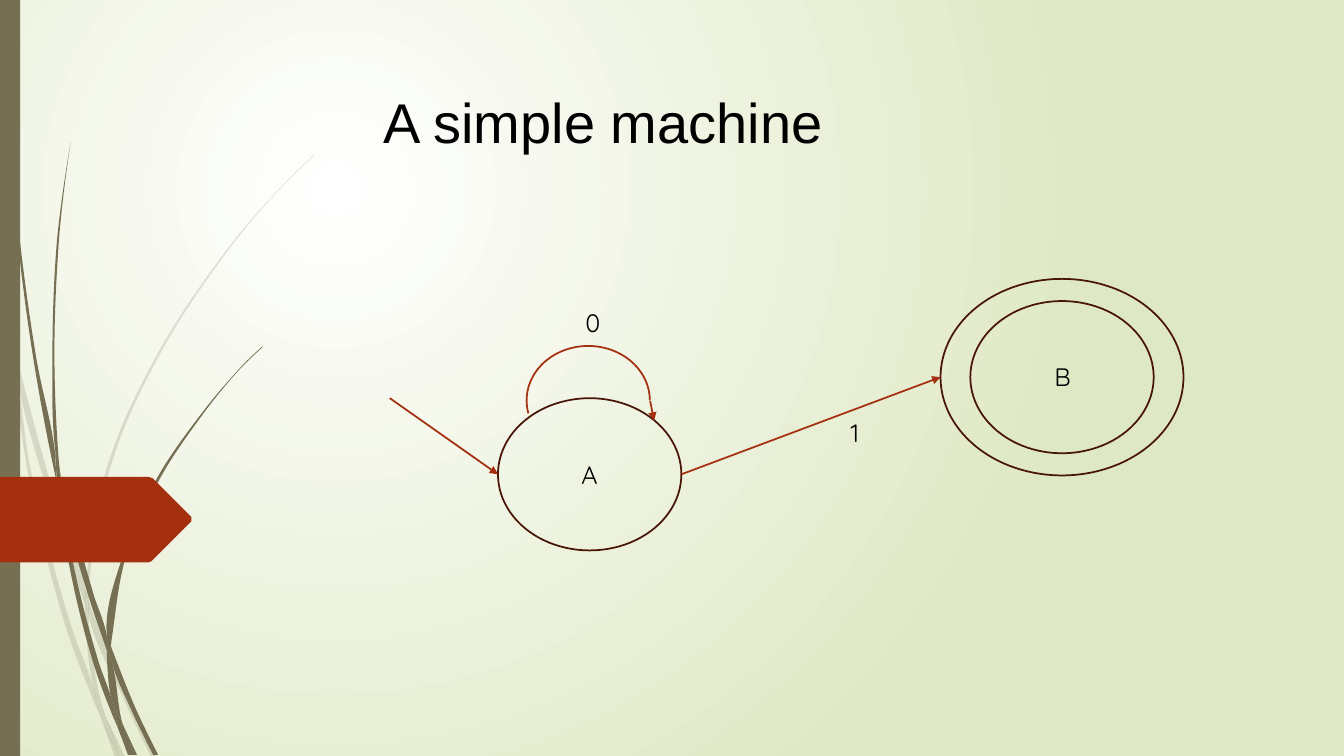
from math import hypot

from lxml.etree import SubElement
from pptx import Presentation
from pptx.dml.color import RGBColor
from pptx.enum.shapes import MSO_CONNECTOR as Connector, MSO_SHAPE as Preset
from pptx.oxml.ns import qn
from pptx.util import Pt

OLIVE, RUST, MAROON, BLACK = "766F54", "A53010", "481507", "000000"
STATE_SIZE = (131, 108.7)
RING_SIZE = (173.5, 140.4)
CENTER_A = (421.2, 338.8)
CENTER_B = (758.6, 269.4)

GRID = 0.72
TAG = "147 558 150 557 151 556 190 517 190 513 151 474 150 474 147 473 0 473 0 558"
PALE_BLADES = [
    "11 350 9 322 0 282 0 299 10 344",
    "58 522 84 599 85 586 62 520 14 345 17 376",
    "92 607 88 596 88 610 123 694 150 751 155 751 127 692",
    "119 751 124 751 105 711",
    "93 683 70 619 31 469 17 376 11 350 28 470 65 621 92 693 101 714 99 707",
    "84 599 87 646 93 683 96 692 105 711 103 706 91 646 88 610 88 608",
    "88 584 110 462 160 349 229 245 268 198 290 175 312 154 312 153 289 175 268 197 "
    "228 244 158 348 107 461 85 584 85 586 88 596",
    "101 714 114 751 119 751",
    "88 608 88 610 88 596 85 586 84 599",
    "96 692 93 683 99 707 101 714 119 751 105 711",
]
DARK_BLADES = [
    "7 110 17 233 33 355 56 477 57 481 55 457 55 453 36 355 19 232 8 109 5 48 4 0 3 0 4 48",
    "88 592 106 645 106 633 106 631 93 590 60 472 64 505",
    "113 649 110 641 111 656 132 708 152 749 157 749 136 706",
    "110 691 98 657 72 556 64 505 57 477 68 557 93 659 111 708 117 722 116 717",
    "60 472 58 453 54 349 58 245 63 193 70 141 62 193 56 245 52 349 55 449",
    "133 749 136 749 122 719",
    "57 477 64 505 60 472 55 449 55 453",
    "111 633 125 552 158 476 205 406 231 374 245 359 261 344 260 344 245 358 231 373 "
    "204 405 156 474 122 551 106 631 110 641",
    "117 722 127 749 131 749",
    "106 645 110 691 116 706 122 719 121 716 111 656 109 651",
    "106 645 109 651 111 656 110 641 106 631 106 633",
    "116 706 110 691 116 717 117 722 130 749 133 749 122 719",
]


def color(code):
    return RGBColor.from_string(code)


def paint_background(page):
    fill = page.background.fill
    fill.gradient()
    for stop, code in zip(fill.gradient_stops, ("FFFFFF", "DFE8C4")):
        stop.color.rgb = color(code)
    gradient = page.element.find(".//" + qn("a:gradFill"))
    gradient.remove(gradient.find(qn("a:lin")))
    circle = SubElement(gradient, qn("a:path"), path="circle")
    SubElement(circle, qn("a:fillToRect"), l="50000", t="50000", r="100000", b="100000")


def fill_solid(shape, code, opacity=100):
    shape.shadow.inherit = False
    shape.line.fill.background()
    shape.fill.solid()
    shape.fill.fore_color.rgb = color(code)
    if opacity < 100:
        tone = shape.element.spPr.find(".//" + qn("a:srgbClr"))
        SubElement(tone, qn("a:alpha"), val=str(opacity * 1000))


def direction(start, end):
    dx, dy = end[0] - start[0], end[1] - start[1]
    length = hypot(dx, dy) or 1
    return dx / length, dy / length


def tangent(before, point, after):
    (ax, ay), (bx, by) = direction(before, point), direction(point, after)
    if ax * bx + ay * by < 0.8:
        return 0, 0
    return direction((0, 0), (ax + bx, ay + by))


def bend(shape):
    edges = list(shape.element.iter(qn("a:lnTo")))
    knots = [(int(spot.get("x")), int(spot.get("y"))) for spot in shape.element.iter(qn("a:pt"))]
    closed = knots[:-1] if knots[0] == knots[-1] else knots
    count = len(closed)
    slopes = [tangent(closed[i - 1], closed[i], closed[(i + 1) % count]) for i in range(count)]
    for i, edge in enumerate(edges):
        j = (i + 1) % count
        start, end = closed[i], closed[j]
        reach = hypot(end[0] - start[0], end[1] - start[1]) / 3
        first = [p + s * reach for p, s in zip(start, slopes[i])]
        second = [p - s * reach for p, s in zip(end, slopes[j])]
        curve = SubElement(edge.getparent(), qn("a:cubicBezTo"))
        for x, y in (first, second, end):
            SubElement(curve, qn("a:pt"), x=str(round(x)), y=str(round(y)))
        edge.getparent().replace(edge, curve)


def add_outline(page, outline, code, opacity=100):
    numbers = [Pt(GRID * int(number)) for number in outline.split()]
    points = list(zip(numbers[::2], numbers[1::2]))
    builder = page.shapes.build_freeform(*points[0], scale=1.0)
    builder.add_line_segments(points[1:] + points[:1], close=True)
    shape = builder.convert_to_shape()
    fill_solid(shape, code, opacity)
    return shape


def add_ring(page, preset, center, size, code):
    (x, y), (width, height) = center, size
    shape = page.shapes.add_shape(
        preset, Pt(x - width / 2), Pt(y - height / 2), Pt(width), Pt(height))
    shape.shadow.inherit = False
    shape.fill.background()
    shape.line.color.rgb = color(code)
    shape.line.width = Pt(1.25)
    return shape


def add_arrow(page, start, end):
    arrow = page.shapes.add_connector(Connector.STRAIGHT, *map(Pt, start + end))
    arrow.line.color.rgb = color(RUST)
    arrow.line.width = Pt(1.25)
    line = arrow._element.spPr.find(qn("a:ln"))
    SubElement(line, qn("a:tailEnd"), type="triangle")
    SubElement(arrow._element.spPr, qn("a:effectLst"))


def add_text(page, text, left, top, width, height, size, font, wrap=False):
    box = page.shapes.add_textbox(Pt(left), Pt(top), Pt(width), Pt(height))
    box.text_frame.word_wrap = wrap
    span = box.text_frame.paragraphs[0].add_run()
    span.text = text
    span.font.size = Pt(size)
    span.font.name = font
    span.font.color.rgb = color(BLACK)


def main():
    deck = Presentation()
    deck.slide_width, deck.slide_height = Pt(960), Pt(540)
    page = deck.slides.add_slide(deck.slide_layouts[6])
    paint_background(page)

    for blades, opacity in ((PALE_BLADES, 20), (DARK_BLADES, 100)):
        for blade in blades:
            bend(add_outline(page, blade, OLIVE, opacity))
    band = page.shapes.add_shape(Preset.RECTANGLE, 0, 0, Pt(14.4), Pt(540))
    fill_solid(band, OLIVE)
    add_outline(page, TAG, RUST)

    for center, size in ((CENTER_B, STATE_SIZE), (CENTER_B, RING_SIZE), (CENTER_A, STATE_SIZE)):
        add_ring(page, Preset.OVAL, center, size, MAROON)

    entry = (CENTER_A[0] - STATE_SIZE[0] / 2, CENTER_A[1])
    leave = (CENTER_A[0] + STATE_SIZE[0] / 2, CENTER_A[1])
    accept = (CENTER_B[0] - RING_SIZE[0] / 2, CENTER_B[1])
    add_arrow(page, (278.4, 284.4), entry)
    add_arrow(page, leave, accept)
    loop = add_ring(page, Preset.ARC, (420.2, 286), (88, 77.8), RUST)
    loop.adjustments[0], loop.adjustments[1] = 100.665, 0
    add_arrow(page, (464.4, 286.4), (467.2, 300.5))

    for text, left, top, width in (("1", 600.5, 294.5, 19.4), ("B", 746, 254.9, 25.2),
                                   ("A", 408.2, 324.4, 24.5), ("0", 411.1, 216, 19.4)):
        add_text(page, text, left, top, width, 28.8, 18, "Quicksand")
    add_text(page, "A simple machine", 267.1, 59, 591.8, 55.4, 40, "Arial", wrap=True)

    deck.save("out.pptx")


if __name__ == "__main__":
    main()
